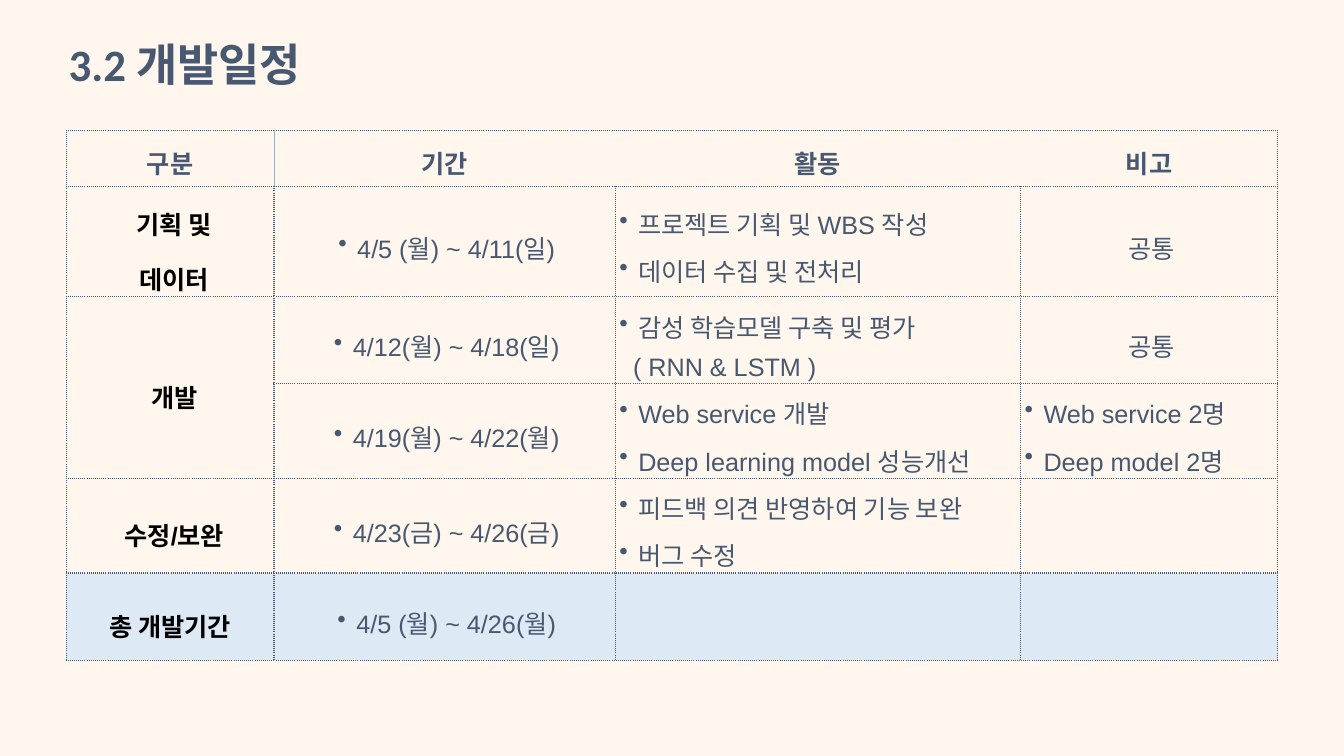
from dataclasses import dataclass
from typing import Optional
from lxml.etree import SubElement
from pptx import Presentation
from pptx.dml.color import RGBColor
from pptx.enum.text import MSO_ANCHOR, PP_ALIGN
from pptx.oxml import parse_xml
from pptx.oxml.ns import nsdecls, qn
from pptx.util import Emu, Pt

CREAM = RGBColor(0xFF, 0xF7, 0xEE)
SLATE = RGBColor(0x47, 0x58, 0x70)
MIST = RGBColor(0x9B, 0xAA, 0xC0)
SKY = RGBColor(0xDD, 0xE9, 0xF4)
BLACK = RGBColor(0, 0, 0)

COLS = [198, 325, 386, 245]
HEAD, BODY = 54, 83
INDENT = 18


def px(count: int) -> Emu:
    return Emu(count * 9525)


@dataclass
class Style:
    """How the text of one kind of cell is set."""
    color: RGBColor
    bold: bool
    spacing: float
    inset: int
    center: bool = True
    bullet: bool = False


@dataclass
class Line:
    """One border; without a colour it is not drawn."""
    color: Optional[RGBColor] = None
    width: float = 1
    dash: str = "sysDot"


@dataclass
class Phase:
    """One row of the schedule; an empty label continues the one above."""
    label: list[str]
    period: str
    tasks: list[str]
    notes: list[str]


HEADER = Style(SLATE, True, 1.2, 0)
LABEL = Style(BLACK, True, 1.5, 8)
TOTAL = Style(BLACK, True, 1.5, 0)
PERIOD = Style(SLATE, False, 1.3, 4, bullet=True)
LIST = Style(SLATE, False, 1.3, 4, center=False, bullet=True)
NOTE = Style(SLATE, False, 1.3, 4)

DOTTED = Line(SLATE)
THIN = Line(MIST, 0.5, "solid")
BLANK = Line()

TITLES = ["구분", "기간", "활동", "비고"]
PHASES = [
    Phase(["기획 및", "데이터"], "4/5 (월) ~ 4/11(일)",
          ["프로젝트 기획 및 WBS 작성", "데이터 수집 및 전처리"], ["공통"]),
    Phase(["개발"], "4/12(월) ~ 4/18(일)",
          ["감성 학습모델 구축 및 평가", "( RNN & LSTM )"], ["공통"]),
    Phase([], "4/19(월) ~ 4/22(월)",
          ["Web service 개발", "Deep learning model 성능개선"],
          ["Web service 2명", "Deep model 2명"]),
    Phase(["수정/보완"], "4/23(금) ~ 4/26(금)",
          ["피드백 의견 반영하여 기능 보완", "버그 수정"], []),
    Phase(["총 개발기간"], "4/5 (월) ~ 4/26(월)", [], []),
]


def write(cell, lines: list[str], style: Style) -> None:
    cell.vertical_anchor = MSO_ANCHOR.MIDDLE
    cell.margin_left = px(style.inset)
    cell.margin_right = cell.margin_top = cell.margin_bottom = 0
    frame = cell.text_frame
    for i, text in enumerate(lines):
        para = frame.paragraphs[0] if i == 0 else frame.add_paragraph()
        para.alignment = PP_ALIGN.CENTER if style.center else PP_ALIGN.LEFT
        para.line_spacing = style.spacing
        props = para._p.get_or_add_pPr()
        if style.bullet and text.startswith("("):
            # A remark in brackets belongs to the bullet above it
            props.set("marL", str(px(13)))
        elif style.bullet:
            props.set("marL", str(px(INDENT)))
            props.set("indent", str(-px(INDENT)))
            SubElement(props, qn("a:buChar")).set("char", "•")
        run = para.add_run()
        run.text = text
        font = run.font
        font.name, font.size, font.bold = "Arial", Pt(18), style.bold
        font.color.rgb = style.color


def edge(cell, sides: dict[str, Line]) -> None:
    props = cell._tc.get_or_add_tcPr()
    for i, side in enumerate("LRTB"):
        line = sides[side]
        if line.color is None:
            inner = "<a:noFill/>"
        else:
            inner = (f'<a:solidFill><a:srgbClr val="{line.color}"/></a:solidFill>'
                     f'<a:prstDash val="{line.dash}"/>')
        props.insert(i, parse_xml(
            f'<a:ln{side} {nsdecls("a")} w="{Pt(line.width)}">{inner}</a:ln{side}>'))


def upright(row: int, index: int) -> Line:
    """The vertical border at the left of column index."""
    if row > 0 or index in (0, len(COLS)):
        return DOTTED
    return THIN if index == 1 else BLANK


def plan(slide) -> None:
    rows = len(PHASES) + 1
    frame = slide.shapes.add_table(rows, len(COLS), px(63), px(124),
                                   px(sum(COLS)), px(HEAD + BODY * len(PHASES)))
    table = frame.table
    table.first_row = table.horz_banding = False
    for col, width in zip(table.columns, COLS):
        col.width = px(width)
    for i, row in enumerate(table.rows):
        row.height = px(BODY if i else HEAD)

    # Fills and borders
    for r in range(rows):
        for c in range(len(COLS)):
            cell = table.cell(r, c)
            if r == rows - 1:
                cell.fill.solid()
                cell.fill.fore_color.rgb = SKY
            else:
                cell.fill.background()
            edge(cell, {"L": upright(r, c), "R": upright(r, c + 1),
                        "T": DOTTED, "B": DOTTED})

    # Header and phases
    for c, text in enumerate(TITLES):
        write(table.cell(0, c), [text], HEADER)
    for r, phase in enumerate(PHASES, 1):
        if phase.label:
            write(table.cell(r, 0), phase.label, TOTAL if r == rows - 1 else LABEL)
        else:
            table.cell(r - 1, 0).merge(table.cell(r, 0))
        write(table.cell(r, 1), [phase.period], PERIOD)
        write(table.cell(r, 2), phase.tasks, LIST)
        write(table.cell(r, 3), phase.notes, LIST if len(phase.notes) > 1 else NOTE)


def title(slide, text: str) -> None:
    frame = slide.shapes.add_textbox(px(56), px(36), px(482), px(68)).text_frame
    frame.word_wrap = True
    para = frame.paragraphs[0]
    para.line_spacing = 0.9
    run = para.add_run()
    run.text = text
    font = run.font
    font.name, font.size, font.bold = "Calibri", Pt(32), True
    font.color.rgb = SLATE


def main() -> None:
    deck = Presentation()
    deck.slide_width, deck.slide_height = px(1280), px(720)
    slide = deck.slides.add_slide(deck.slide_layouts[6])
    slide.background.fill.solid()
    slide.background.fill.fore_color.rgb = CREAM
    plan(slide)
    title(slide, "3.2 개발일정")
    deck.save("out.pptx")


if __name__ == "__main__":
    main()
